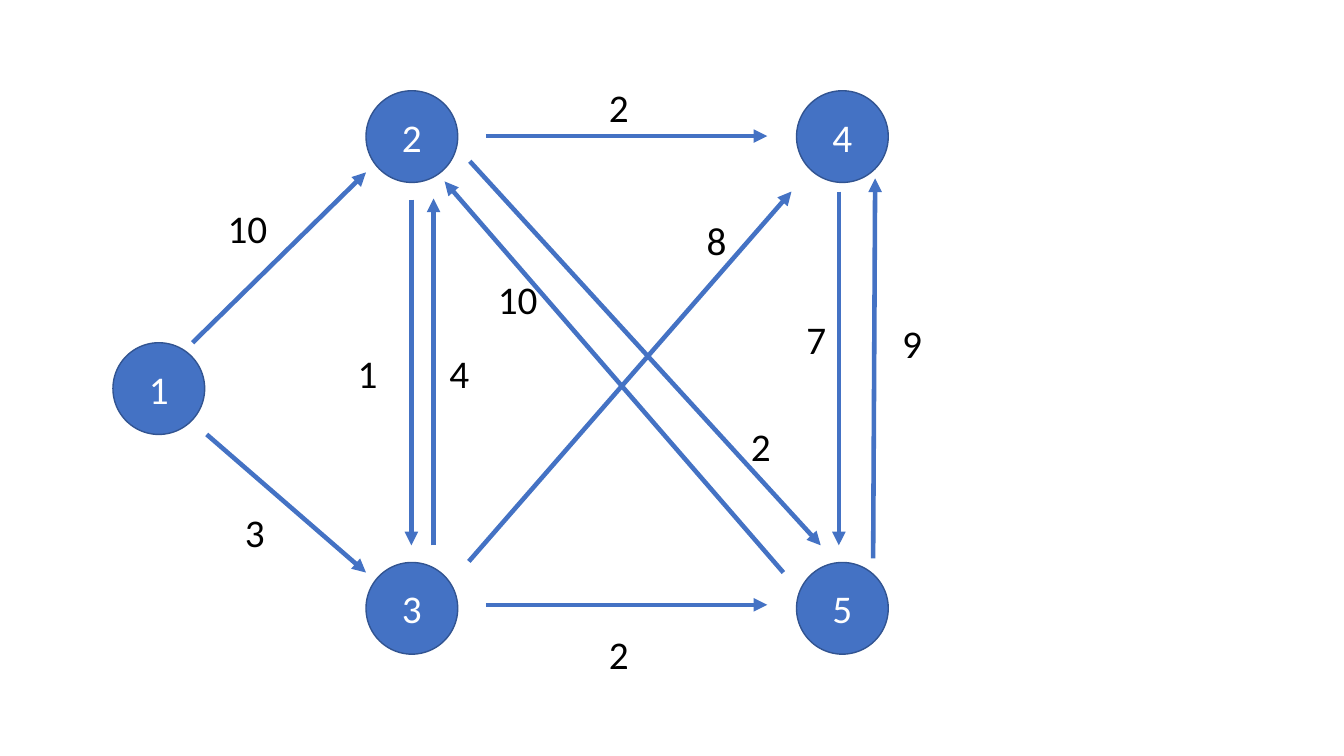
"""Build a slide with a weighted directed graph of five nodes."""
from lxml import etree
from pptx import Presentation
from pptx.dml.color import RGBColor
from pptx.enum.shapes import MSO_CONNECTOR, MSO_SHAPE
from pptx.enum.text import MSO_ANCHOR, MSO_AUTO_SIZE, PP_ALIGN
from pptx.oxml.ns import qn
from pptx.util import Pt

PX = 9144
STRAIGHT = MSO_CONNECTOR.STRAIGHT
CIRCLE = MSO_SHAPE.OVAL
MIDDLE = MSO_ANCHOR.MIDDLE
TOP = MSO_ANCHOR.TOP
GROW = MSO_AUTO_SIZE.SHAPE_TO_FIT_TEXT
FIXED = MSO_AUTO_SIZE.NONE
CENTER = PP_ALIGN.CENTER
LEFT = PP_ALIGN.LEFT

BLUE, DARK_BLUE, WHITE, BLACK = "4472C4", "325491", "FFFFFF", "000000"
DIAMETER = 91
LABEL_HEIGHT = 57
LABEL_PADDING = 20
DIGIT_WIDTH = 20

LEFT_COLUMN, RIGHT_COLUMN = 363, 790
TOP_ROW, BOTTOM_ROW = 90, 558
NODES = [
    ("1", 112, 340),
    ("2", LEFT_COLUMN, TOP_ROW),
    ("3", LEFT_COLUMN, BOTTOM_ROW),
    ("4", RIGHT_COLUMN, TOP_ROW),
    ("5", RIGHT_COLUMN, BOTTOM_ROW),
]
EDGES = [
    ("10", (191, 340), (363, 171), (216, 198)),
    ("3", (205, 431), (363, 568), (233, 499)),
    ("1", (408, 198), (408, 541), (345, 342)),
    ("4", (430, 541), (430, 197), (436, 342)),
    ("2", (482, 135), (761, 135), (594, 78)),
    ("2", (482, 600), (761, 600), (594, 620)),
    ("8", (465, 557), (785, 190), (691, 210)),
    ("2", (466, 160), (814, 541), (735, 414)),
    ("10", (777, 568), (441, 180), (484, 268)),
    ("7", (832, 190), (832, 541), (790, 308)),
    ("9", (866, 554), (868, 177), (885, 312)),
]


def px(*lengths):
    """Turn pixel lengths into EMU."""
    return [length * PX for length in lengths]


def color(hex_code):
    """Turn a hex string into a colour."""
    return RGBColor.from_string(hex_code)


def write(frame, words, ink=BLACK, size=28, font="Calibri", align=LEFT,
          anchor=TOP, wrap=False, fit=GROW):
    """Put formatted text into a text frame."""
    frame.word_wrap = wrap
    frame.auto_size = fit
    frame.vertical_anchor = anchor
    paragraph = frame.paragraphs[0]
    paragraph.alignment = align
    run = paragraph.add_run()
    run.text = words
    run.font.name = font
    run.font.size = Pt(size)
    run.font.color.rgb = color(ink)


def add_node(slide, number, left, top):
    """Draw a numbered circle."""
    node = slide.shapes.add_shape(CIRCLE, *px(left, top, DIAMETER, DIAMETER))
    node.shadow.inherit = False
    node.fill.solid()
    node.fill.fore_color.rgb = color(BLUE)
    node.line.color.rgb = color(DARK_BLUE)
    node.line.width = Pt(1)
    write(node.text_frame, number, ink=WHITE, align=CENTER, anchor=MIDDLE,
          wrap=True, fit=FIXED)


def add_arrow(slide, start, end):
    """Draw an arrow between two points."""
    arrow = slide.shapes.add_connector(STRAIGHT, *px(*start, *end))
    arrow.line.color.rgb = color(BLUE)
    arrow.line.width = Pt(3.25)
    etree.SubElement(arrow.line._get_or_add_ln(), qn("a:tailEnd"), type="triangle")
    etree.SubElement(arrow._element.spPr, qn("a:effectLst"))


def add_weight(slide, weight, left, top):
    """Write the weight of an edge."""
    width = LABEL_PADDING + DIGIT_WIDTH * len(weight)
    label = slide.shapes.add_textbox(*px(left, top, width, LABEL_HEIGHT))
    write(label.text_frame, weight)


def main():
    """Build and save the slide."""
    deck = Presentation()
    deck.slide_width, deck.slide_height = px(1333, 750)
    slide = deck.slides.add_slide(deck.slide_layouts[6])
    for number, left, top in NODES:
        add_node(slide, number, left, top)
    for weight, start, end, label_corner in EDGES:
        add_arrow(slide, start, end)
        add_weight(slide, weight, *label_corner)
    deck.save("out.pptx")


if __name__ == "__main__":
    main()
